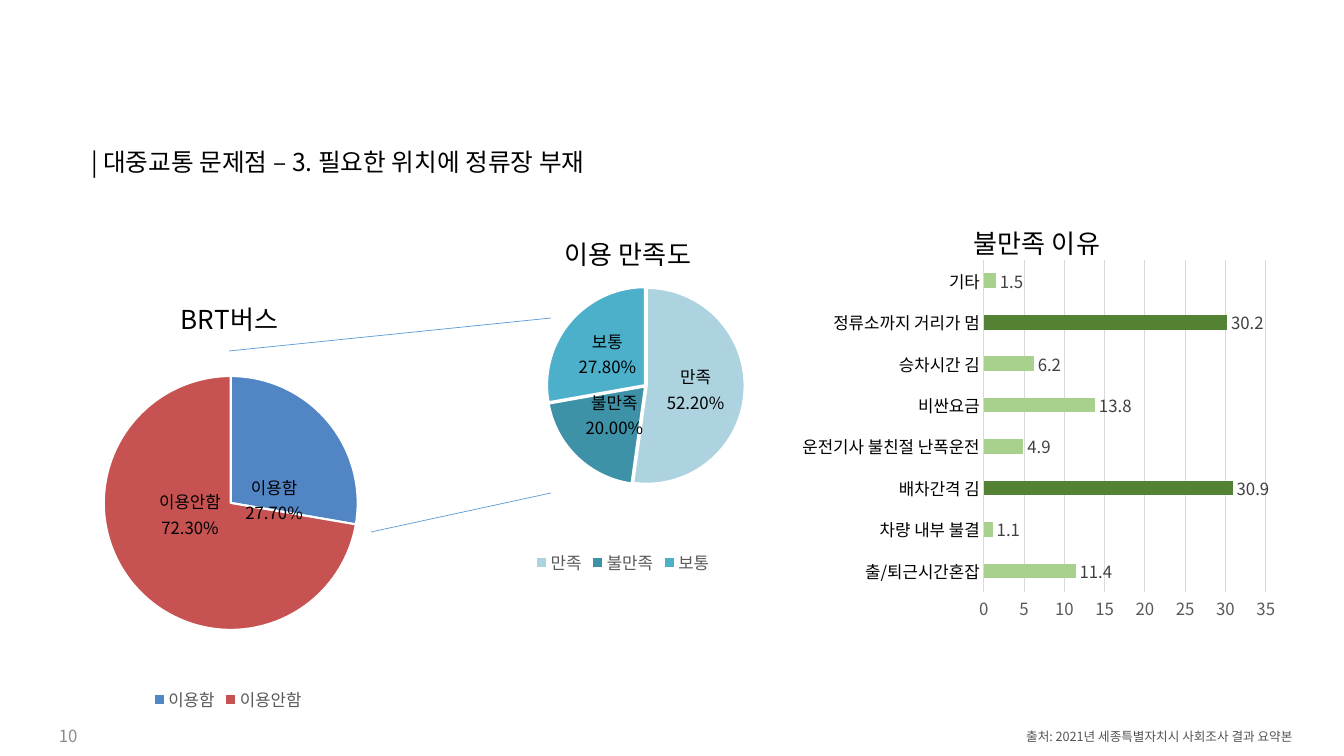
from dataclasses import dataclass

import lxml.etree
import pptx
import pptx.chart.data
import pptx.dml.color
import pptx.enum.chart
import pptx.enum.shapes
import pptx.enum.text
import pptx.oxml.ns
import pptx.util

RGBColor = pptx.dml.color.RGBColor
BLACK = RGBColor(0x00, 0x00, 0x00)
WHITE = RGBColor(0xFF, 0xFF, 0xFF)
DARK_GRAY = RGBColor(0x40, 0x40, 0x40)
SOURCE_GRAY = RGBColor(0x54, 0x54, 0x54)
AXIS_GRAY = RGBColor(0x59, 0x59, 0x59)
NUMBER_GRAY = RGBColor(0x8C, 0x8C, 0x8C)
GRID_GRAY = RGBColor(0xD9, 0xD9, 0xD9)
LINK_BLUE = RGBColor(0x5B, 0x9B, 0xD5)
USE_BLUE = RGBColor(0x51, 0x85, 0xC4)
NO_USE_RED = RGBColor(0xC6, 0x52, 0x51)
PALE_TEAL = RGBColor(0xAD, 0xD3, 0xE1)
DEEP_TEAL = RGBColor(0x3D, 0x92, 0xA8)
BRIGHT_TEAL = RGBColor(0x4C, 0xB0, 0xCB)
LIGHT_GREEN = RGBColor(0xA9, 0xD1, 0x8E)
DARK_GREEN = RGBColor(0x54, 0x82, 0x35)

FONT_NAME = "Noto Sans CJK KR"
EMU_PER_PX = 914400 / 100.8
Box = tuple[int, int, int, int]


@dataclass
class Slice:
    name: str
    value: float
    color: RGBColor
    label_shift: tuple[int, int] = (0, 0)


@dataclass
class Pie:
    title: str
    box: Box
    title_at: tuple[int, int]
    circle: Box
    slices: list[Slice]
    explosion: int = 0


@dataclass
class Link:
    start: tuple[int, int]
    end: tuple[int, int]


PIES = [
    Pie("BRT버스", (11, 271, 434, 445), (176, 291), (104, 376, 254, 254), [
        Slice("이용함", 0.277, USE_BLUE, (-5, 38)),
        Slice("이용안함", 0.723, NO_USE_RED, (8, -30)),
    ]),
    Pie("이용 만족도", (292, 205, 662, 374), (560, 226), (547, 287, 198, 198), [
        Slice("만족", 0.522, PALE_TEAL),
        Slice("불만족", 0.2, DEEP_TEAL, (3, -7)),
        Slice("보통", 0.278, BRIGHT_TEAL),
    ], explosion=1),
]
LINKS = [Link((229, 351), (551, 318)), Link((371, 532), (551, 493))]
REASONS_BOX = (769, 192, 528, 479)
REASONS = {
    "출/퇴근시간혼잡": 11.4,
    "차량 내부 불결": 1.1,
    "배차간격 김": 30.9,
    "운전기사 불친절 난폭운전": 4.9,
    "비싼요금": 13.8,
    "승차시간 김": 6.2,
    "정류소까지 거리가 멈": 30.2,
    "기타": 1.5,
}
HIGHLIGHT_FROM = 30


def px(length: int) -> int:
    return round(length * EMU_PER_PX)


def style_font(font, size: float, color: RGBColor) -> None:
    font.name = FONT_NAME
    font.size = pptx.util.Pt(size)
    font.bold = False
    font.color.rgb = color


def add_east_asian_font(root) -> None:
    for latin in root.xpath(".//a:latin"):
        east_asian = lxml.etree.Element(pptx.oxml.ns.qn("a:ea"))
        east_asian.set("typeface", FONT_NAME)
        latin.addnext(east_asian)


def set_layout(parent, index: int, **settings) -> None:
    """Put a manual chart layout into parent at the given child index."""
    qn = pptx.oxml.ns.qn
    for old in parent.findall(qn("c:layout")):
        parent.remove(old)
    layout = lxml.etree.Element(qn("c:layout"))
    manual = lxml.etree.SubElement(layout, qn("c:manualLayout"))
    for name, value in settings.items():
        lxml.etree.SubElement(manual, qn(f"c:{name}")).set("val", str(value))
    parent.insert(index, layout)


def add_chart(slide, kind, box: Box, title: str, title_at: tuple[int, int],
              plot_box: Box, values: dict[str, float], number_format: str):
    data = pptx.chart.data.CategoryChartData(number_format=number_format)
    data.categories = list(values)
    data.add_series("Series 1", list(values.values()))
    chart = slide.shapes.add_chart(kind, *map(px, box), data).chart
    style_font(chart.font, 10, BLACK)
    chart.has_title = True
    chart.chart_title.text_frame.text = title
    style_font(chart.chart_title.text_frame.paragraphs[0].font, 18.6, BLACK)

    left, top, width, height = box
    set_layout(chart.element.xpath("c:chart/c:title")[0], 1, xMode="edge", yMode="edge",
               x=round((title_at[0] - left) / width, 3),
               y=round((title_at[1] - top) / height, 3))
    set_layout(chart.element.xpath("c:chart/c:plotArea")[0], 0, layoutTarget="inner",
               xMode="edge", yMode="edge",
               x=round((plot_box[0] - left) / width, 3),
               y=round((plot_box[1] - top) / height, 3),
               w=round(plot_box[2] / width, 3), h=round(plot_box[3] / height, 3))
    return chart


def add_pie(slide, pie: Pie) -> None:
    qn = pptx.oxml.ns.qn
    values = {part.name: part.value for part in pie.slices}
    chart = add_chart(slide, pptx.enum.chart.XL_CHART_TYPE.PIE, pie.box, pie.title,
                      pie.title_at, pie.circle, values, "0.00%")
    chart.has_legend = True
    chart.legend.position = pptx.enum.chart.XL_LEGEND_POSITION.BOTTOM
    chart.legend.include_in_layout = False
    style_font(chart.legend.font, 12, AXIS_GRAY)
    series = chart.plots[0].series[0]
    for index, part in enumerate(pie.slices):
        point = series.points[index]
        point.format.fill.solid()
        point.format.fill.fore_color.rgb = part.color
        point.format.line.color.rgb = WHITE
        point.format.line.width = pptx.util.Pt(1.5)
        style_font(point.data_label.font, 12, BLACK)
        point.data_label.position = pptx.enum.chart.XL_LABEL_POSITION.CENTER

    # Category name above the percentage, nudged from the slice centre
    for part, label in zip(pie.slices, chart.element.xpath(".//c:dLbl")):
        set_layout(label, 1, x=round(part.label_shift[0] / pie.box[2], 3),
                   y=round(part.label_shift[1] / pie.box[3], 3))
        number_format = lxml.etree.Element(qn("c:numFmt"))
        number_format.set("formatCode", "0.00%")
        number_format.set("sourceLinked", "0")
        label.insert(2, number_format)
        label.find(qn("c:showCatName")).set("val", "1")
        lxml.etree.SubElement(label, qn("c:separator")).text = "\n"
    if pie.explosion:
        explosion = lxml.etree.Element(qn("c:explosion"))
        explosion.set("val", str(pie.explosion))
        chart.element.xpath(".//c:ser/c:dPt")[0].addprevious(explosion)
    add_east_asian_font(chart.element)


def add_reasons(slide) -> None:
    chart = add_chart(slide, pptx.enum.chart.XL_CHART_TYPE.BAR_CLUSTERED, REASONS_BOX,
                      "불만족 이유", (969, 215), (984, 260, 282, 332), REASONS, "General")
    chart.has_legend = False
    plot = chart.plots[0]
    plot.gap_width = 182
    plot.vary_by_categories = False
    plot.has_data_labels = True
    plot.data_labels.show_value = True
    plot.data_labels.position = pptx.enum.chart.XL_LABEL_POSITION.OUTSIDE_END
    style_font(plot.data_labels.font, 12, DARK_GRAY)
    series = plot.series[0]
    series.format.fill.solid()
    series.format.fill.fore_color.rgb = LIGHT_GREEN
    for index, value in enumerate(REASONS.values()):
        if value > HIGHLIGHT_FROM:
            fill = series.points[index].format.fill
            fill.solid()
            fill.fore_color.rgb = DARK_GREEN

    for axis, color in ((chart.category_axis, BLACK), (chart.value_axis, AXIS_GRAY)):
        axis.major_tick_mark = axis.minor_tick_mark = pptx.enum.chart.XL_TICK_MARK.NONE
        style_font(axis.tick_labels.font, 12, color)
    chart.value_axis.minimum_scale, chart.value_axis.maximum_scale = 0, 35
    chart.value_axis.major_unit = 5
    chart.value_axis.format.line.fill.background()
    for line in (chart.category_axis.format.line, chart.value_axis.major_gridlines.format.line):
        line.color.rgb = GRID_GRAY
        line.width = pptx.util.Pt(0.75)
    add_east_asian_font(chart.element)


def add_link(slide, link: Link) -> None:
    line = slide.shapes.add_connector(pptx.enum.shapes.MSO_CONNECTOR.STRAIGHT,
                                      *map(px, link.start + link.end))
    line.line.color.rgb = LINK_BLUE
    line.line.width = pptx.util.Pt(0.5)
    properties = line._element.spPr
    lxml.etree.SubElement(properties, pptx.oxml.ns.qn("a:effectLst"))


def write_text(shape, box: Box, text: str, size: float, color: RGBColor,
               alignment=pptx.enum.text.PP_ALIGN.LEFT) -> None:
    shape.left, shape.top, shape.width, shape.height = map(px, box)
    frame = shape.text_frame
    frame.text = text
    frame.word_wrap = True
    frame.auto_size = pptx.enum.text.MSO_AUTO_SIZE.NONE
    frame.vertical_anchor = pptx.enum.text.MSO_ANCHOR.MIDDLE
    frame.paragraphs[0].alignment = alignment
    style_font(frame.paragraphs[0].font, size, color)


def main() -> None:
    presentation = pptx.Presentation()
    presentation.slide_width, presentation.slide_height = px(1344), px(756)
    slide = presentation.slides.add_slide(presentation.slide_layouts[5])

    # Charts and the lines that lead from one pie to the next
    for pie in PIES:
        add_pie(slide, pie)
    for link in LINKS:
        add_link(slide, link)
    add_reasons(slide)

    # Heading, source and page number
    title = slide.shapes.title
    write_text(title, (81, 125, 1100, 77), "| 대중교통 문제점 – 3. 필요한 위치에 정류장 부재", 17.6, BLACK)
    title.text_frame.paragraphs[0].line_spacing = 0.9
    write_text(slide.shapes.add_textbox(0, 0, 0, 0), (845, 724, 457, 25),
               "출처: 2021년 세종특별자치시 사회조사 결과 요약본", 9, SOURCE_GRAY,
               pptx.enum.text.PP_ALIGN.RIGHT)
    write_text(slide.shapes.add_textbox(0, 0, 0, 0), (49, 716, 302, 40), "10", 12, NUMBER_GRAY)
    add_east_asian_font(slide.shapes.element)
    presentation.save("out.pptx")


if __name__ == "__main__":
    main()
